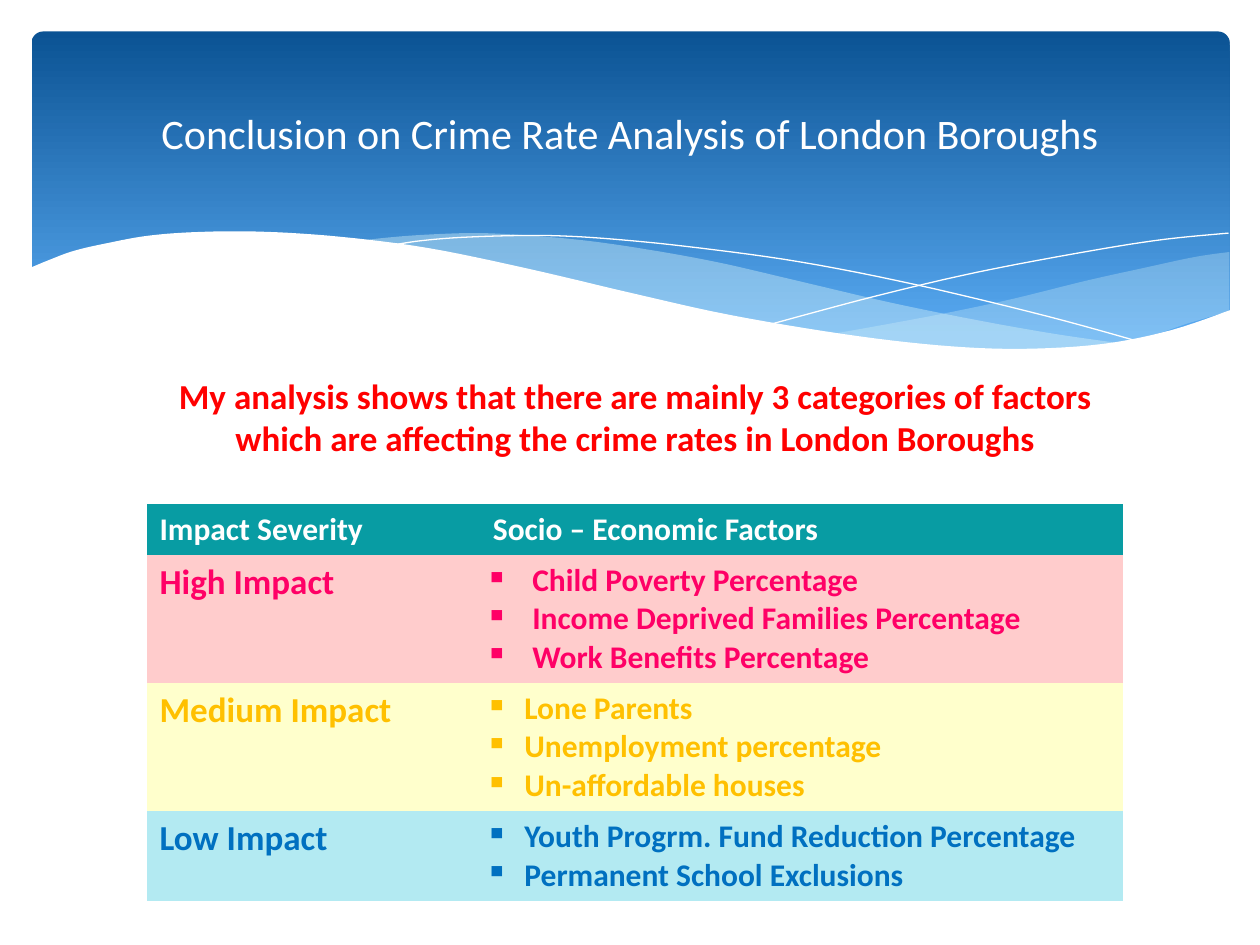
from lxml.etree import SubElement
from pptx import Presentation
from pptx.dml.color import RGBColor as RGB
from pptx.enum.text import MSO_ANCHOR as Anchor, PP_ALIGN as Align
from pptx.enum.shapes import MSO_SHAPE as Shape
from pptx.oxml.ns import qn
from pptx.util import Pt

COLORS = {
    "white": "FFFFFF", "deep": "0B5394", "sky": "59AAF2", "mist": "DBF5F9",
    "red": "FF0000", "teal": "089CA3", "rose": "FF0066", "blush": "FFCCCC",
    "amber": "FFC000", "cream": "FFFFCC", "blue": "0070C0", "ice": "B3EAF2",
}
COLORS = {name: RGB.from_string(value) for name, value in COLORS.items()}
FONT = "Calibri"
NO_GRID_STYLE = "{2D5ABB26-0587-4C30-8999-92F81FD0307C}"
STEPS = 6


def write(frame, lines, size=18, color="white", bold=True, align=Align.LEFT,
          left=0, hanging=0, bullet=None):
    frame.word_wrap = True
    for number, line in enumerate(lines):
        para = frame.paragraphs[0] if number == 0 else frame.add_paragraph()
        para.alignment = align
        layout = para._p.get_or_add_pPr()
        if left:
            layout.set("marL", str(Pt(left)))
            layout.set("indent", str(-Pt(hanging)))
        if bullet:
            para.level = 1
            SubElement(layout, qn("a:buChar")).set("char", bullet)
        span = para.add_run()
        span.text = line
        span.font.name, span.font.size, span.font.bold = FONT, Pt(size), bold
        span.font.color.rgb = COLORS[color]


def draw_curve(edges, fill=None, alpha=100):
    """Run a smooth curve through each edge's points; without a fill, draw a hairline."""
    path = []
    for edge in edges:
        ends = [edge[0], *edge, edge[-1]]
        for a, b, c, d in zip(ends, ends[1:], ends[2:], ends[3:]):
            for t in (step / STEPS for step in range(STEPS)):
                path.append([
                    Pt(b[i] + (c[i] - a[i]) * t / 2
                       + (2 * a[i] - 5 * b[i] + 4 * c[i] - d[i]) * t ** 2 / 2
                       + (3 * b[i] - a[i] - 3 * c[i] + d[i]) * t ** 3 / 2)
                    for i in (0, 1)])
        path.append([Pt(value) for value in edge[-1]])
    builder = page.shapes.build_freeform(*path[0])
    builder.add_line_segments(path[1:], close=fill is not None)
    curve = builder.convert_to_shape()
    curve.shadow.inherit = False
    if fill:
        curve.fill.solid()
        curve.fill.fore_color.rgb = COLORS[fill]
        curve.line.fill.background()
        if alpha < 100:
            tint = curve._element.spPr.find(".//" + qn("a:srgbClr"))
            SubElement(tint, qn("a:alpha")).set("val", str(alpha * 1000))
    else:
        curve.fill.background()
        curve.line.color.rgb = COLORS["white"]
        curve.line.width = Pt(0)


deck = Presentation()
deck.slide_width, deck.slide_height = Pt(720), Pt(540)
page = deck.slides.add_slide(deck.slide_layouts[6])

# Banner
banner = page.shapes.add_shape(Shape.ROUNDED_RECTANGLE, Pt(18), Pt(18), Pt(684.7), Pt(194.4))
banner.adjustments[0] = 0.034
banner.shadow.inherit = False
banner.line.fill.background()
banner.fill.gradient()
banner.fill.gradient_angle = 270
for stop, color, position in zip(banner.fill.gradient_stops, ("deep", "sky"), (0, 0.9)):
    stop.color.rgb = COLORS[color]
    stop.position = position

# Waves along the lower edge of the banner
right_top = [(702.5, 144), (682.5, 146.9), (652.3, 153.4), (619.9, 160.6), (579.6, 170.6),
             (542.2, 178.6), (508.3, 185), (475.9, 190.8)]
right_bottom = [(475.9, 190.8), (507.6, 195.1), (536.4, 198), (562.3, 199.4), (586, 200.2),
                (607.7, 199.4), (627.8, 197.3), (645.8, 194.4), (663.1, 190.1),
                (678.2, 185), (702.5, 177.8)]
middle_top = [(643, 196.6), (602.6, 190.8), (558, 182.9), (508.3, 172.8), (452.9, 159.8),
              (409.7, 149.8), (370.1, 142.6), (334.8, 137.5), (302.4, 134.6),
              (273.6, 133.2), (247.7, 133.9), (225.4, 135.4), (205.9, 137.5)]
middle_bottom = [(205.9, 137.5), (246.2, 143.3), (290.9, 151.9), (323.3, 159.8),
                 (381.6, 172.8), (432.7, 183.6), (478.8, 191.5), (519.8, 197.3),
                 (556.6, 199.4), (589, 200.2), (617, 199.4), (643, 196.6)]
falling_line = [(222.5, 140.4), (241.2, 137.5), (269.3, 135.4), (311.8, 134.6),
                (352.1, 136.8), (400.3, 141.8), (457.9, 149.8), (523.4, 162.7),
                (598.3, 180.7), (653, 195.8)]
rising_line = [(441.4, 185), (500.4, 169.2), (558.7, 155.5), (623.5, 143.3),
               (665.3, 136.8), (702, 133.2)]
white_top = [(703.4, 177.1), (669.6, 188.6), (630, 196.6), (582.5, 199.4), (535.7, 197.3),
             (481, 190.8), (417, 180), (362.2, 167.8), (301, 153.4), (244.8, 141.8),
             (195.1, 135.4), (151.9, 132.5), (115.9, 132.5), (85.7, 134.6), (61.2, 139),
             (42.5, 143.3), (28.8, 148.3), (16.6, 153.4)]
white_bottom = [(16.6, 236.9), (703.4, 236.9)]

draw_curve([right_top, right_bottom], "mist", 29)
draw_curve([middle_top, middle_bottom], "mist", 40)
draw_curve([falling_line])
draw_curve([rising_line])
draw_curve([white_top, white_bottom], "white")

# Title
title = page.shapes.add_textbox(Pt(36), Pt(26.6), Pt(648), Pt(98.6)).text_frame
title.vertical_anchor = Anchor.MIDDLE
write(title, ["Conclusion on Crime Rate Analysis of London Boroughs"],
      size=24, bold=False, align=Align.CENTER)

# Impact table: label, factors, text colour, fill, text start, hanging indent, row height
impacts = [
    ("High Impact", ["Child Poverty Percentage", "Income Deprived Families Percentage",
                     "Work Benefits Percentage"], "rose", "blush", 63, 27, 73.2),
    ("Medium Impact", ["Lone Parents", "Unemployment percentage", "Un-affordable houses"],
     "amber", "cream", 58.5, 22.5, 73.2),
    ("Low Impact", ["Youth Progrm. Fund Reduction Percentage", "Permanent School Exclusions"],
     "blue", "ice", 58.5, 22.5, 51.4),
]
HEADER_HEIGHT = 29.2
height = HEADER_HEIGHT + sum(impact[-1] for impact in impacts)
table = page.shapes.add_table(len(impacts) + 1, 2, Pt(84), Pt(288), Pt(558), Pt(height)).table
table._tbl.tblPr.find(qn("a:tableStyleId")).text = NO_GRID_STYLE
table.columns[0].width, table.columns[1].width = Pt(150), Pt(408)
table.rows[0].height = Pt(HEADER_HEIGHT)
write(table.cell(0, 0).text_frame, ["Impact Severity"])
write(table.cell(0, 1).text_frame, ["Socio – Economic Factors"], left=40.5)
for row, (label, factors, color, fill, left, hanging, row_height) in enumerate(impacts, 1):
    table.rows[row].height = Pt(row_height)
    write(table.cell(row, 0).text_frame, [label], size=20, color=color)
    write(table.cell(row, 1).text_frame, factors, color=color,
          left=left, hanging=hanging, bullet="▪")
fills = ["teal"] + [impact[3] for impact in impacts]
for row, fill in zip(table.rows, fills):
    for cell in row.cells:
        cell.fill.solid()
        cell.fill.fore_color.rgb = COLORS[fill]

# Summary
summary = page.shapes.add_textbox(Pt(84), Pt(210.2), Pt(558), Pt(55.4)).text_frame
write(summary, ["My analysis shows that there are mainly 3 categories of factors "
                "which are affecting the crime rates in London Boroughs"],
      size=20, color="red", align=Align.CENTER)

deck.save("out.pptx")
